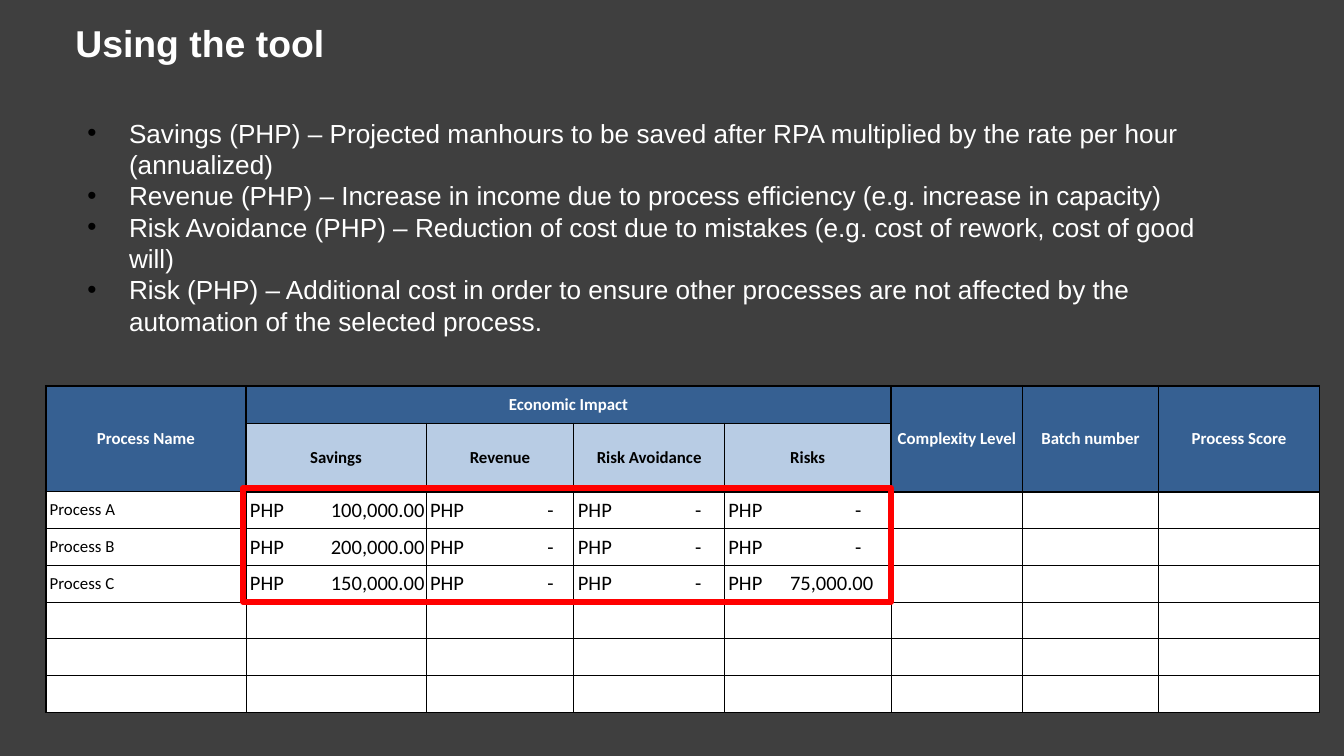
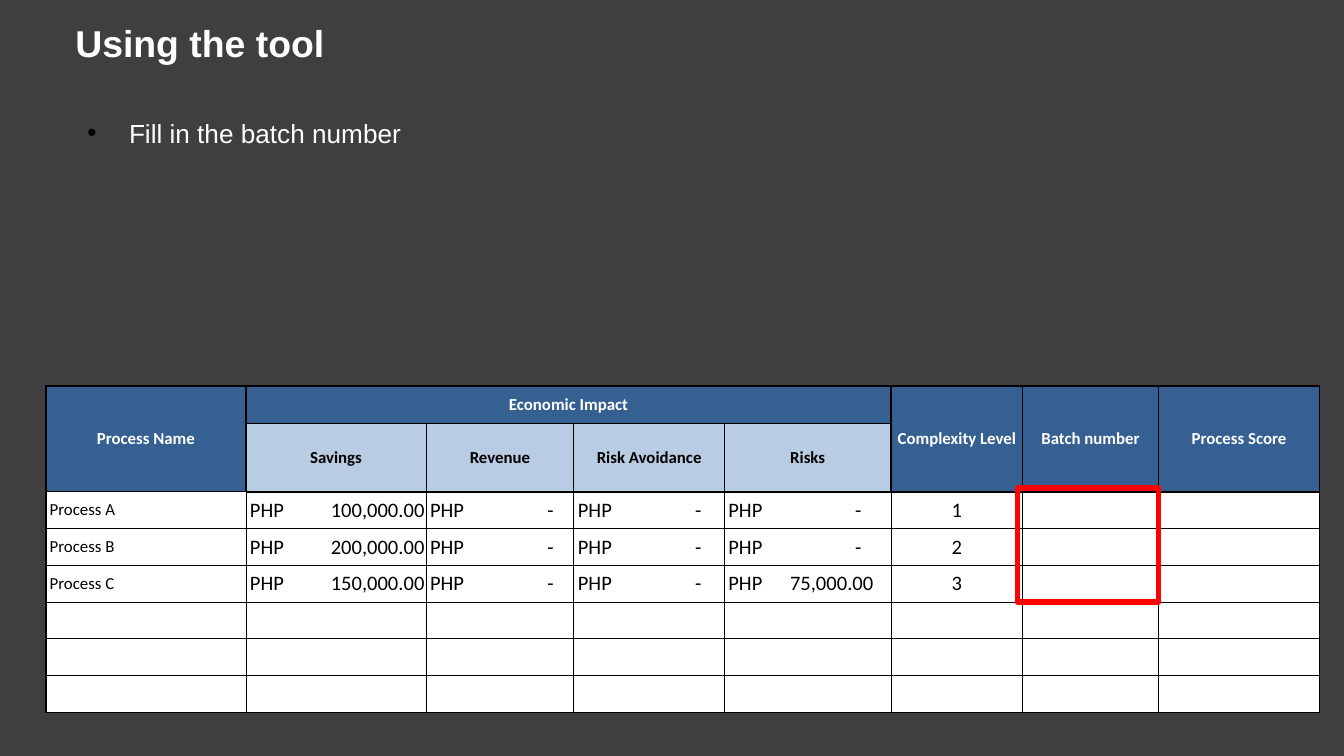
from dataclasses import dataclass

from lxml.etree import SubElement
from pptx import Presentation
from pptx.dml.color import RGBColor
from pptx.enum.shapes import MSO_SHAPE
from pptx.enum.text import MSO_ANCHOR, MSO_AUTO_SIZE, PP_ALIGN
from pptx.oxml.ns import qn
from pptx.util import Inches, Pt

COLORS = {
    "background": "3F3F3F",
    "white": "FFFFFF",
    "black": "000000",
    "header": "366092",
    "subheader": "B8CCE4",
    "highlight": "FF0000",
}
HEADING_FONT, TABLE_FONT = "Arial", "Calibri"

COLUMN_WIDTHS = (1.49, 1.34, 1.1, 1.12, 1.24, 0.98, 1.01, 1.2)
HEADER_HEIGHTS = (0.28, 0.51)
BODY_ROWS, BODY_HEIGHT = 6, 1.64
HEADER_EDGES, BODY_EDGES = {0, 1, 5, 6, 7, 8}, {0, 8}

GROUP_HEADERS = {
    0: "Process Name",
    1: "Economic Impact",
    5: "Complexity Level",
    6: "Batch number",
    7: "Process Score",
}
IMPACT_HEADERS = ("Savings", "Revenue", "Risk Avoidance", "Risks")
AMOUNT_TABS = (1.3, 0.92, 0.92, 0.99)
LONG_RISK_TAB = 1.08
PROCESSES = (
    ("Process A", ("100,000.00", "-", "-", "-")),
    ("Process B", ("200,000.00", "-", "-", "-")),
    ("Process C", ("150,000.00", "-", "-", "75,000.00")),
)


@dataclass(frozen=True)
class ToolStep:
    """One step of using the tool, with the columns it draws attention to."""

    instructions: tuple[str, ...]
    body_height: float
    highlight_left: float
    highlight_width: float
    complexity: tuple[str, ...] = ()


@dataclass(frozen=True)
class CellStyle:
    """Look of the text in a table cell."""

    size: int
    color: str = "black"
    bold: bool = False
    centered: bool = False
    inset: float = 0.01


HEADER_STYLE = CellStyle(9, "white", True, True, 0)
SUBHEADER_STYLE = CellStyle(9, "black", True, True, 0)
NAME_STYLE = CellStyle(9, inset=0.03)
AMOUNT_STYLE = CellStyle(11, inset=0.03)
LEVEL_STYLE = CellStyle(11, centered=True, inset=0)

STEPS = (
    ToolStep(
        (
            "Savings (PHP) – Projected manhours to be saved after RPA multiplied "
            "by the rate per hour (annualized)",
            "Revenue (PHP) – Increase in income due to process efficiency "
            "(e.g. increase in capacity)",
            "Risk Avoidance (PHP) – Reduction of cost due to mistakes "
            "(e.g. cost of rework, cost of good will)",
            "Risk (PHP) – Additional cost in order to ensure other processes are "
            "not affected by the automation of the selected process.",
        ),
        1.75, 1.81, 4.82,
    ),
    ToolStep(("Fill in the batch number",), 0.34, 7.57, 1.05, ("1", "2", "3")),
)


def rgb(name: str) -> RGBColor:
    """Look up a colour of the palette."""
    return RGBColor.from_string(COLORS[name])


def add_run(paragraph, text: str, font: str, size: int, color: str, bold: bool = False) -> None:
    """Add a formatted run to a paragraph."""
    run = paragraph.add_run()
    run.text = text
    run.font.name = font
    run.font.size = Pt(size)
    run.font.bold = bold
    run.font.color.rgb = rgb(color)


def place(shape, left: float, top: float, width: float, height: float) -> None:
    """Move and size a shape."""
    shape.left, shape.top = Inches(left), Inches(top)
    shape.width, shape.height = Inches(width), Inches(height)


def add_title(slide) -> None:
    """Fill the title placeholder."""
    title = slide.shapes.title
    place(title, 0.34, 0.05, 9.32, 0.58)
    frame = title.text_frame
    frame.auto_size = MSO_AUTO_SIZE.NONE
    frame.vertical_anchor = MSO_ANCHOR.TOP
    frame.margin_left = frame.margin_right = Inches(0.1)
    frame.margin_top = frame.margin_bottom = Inches(0.1)
    paragraph = frame.paragraphs[0]
    paragraph.alignment = PP_ALIGN.LEFT
    paragraph._p.get_or_add_pPr().set("marL", str(Inches(0.12)))
    add_run(paragraph, "Using the tool", HEADING_FONT, 20, "white", True)


def format_bullet(paragraph) -> None:
    """Give a paragraph a hanging black bullet."""
    properties = paragraph._p.get_or_add_pPr()
    properties.set("marL", str(Inches(0.31)))
    properties.set("indent", str(-Inches(0.31)))
    color = SubElement(properties, qn("a:buClr"))
    SubElement(color, qn("a:srgbClr"), val=COLORS["black"])
    SubElement(properties, qn("a:buFont"), typeface=HEADING_FONT)
    SubElement(properties, qn("a:buChar"), char="•")
    paragraph.space_before = Pt(0)


def add_instructions(slide, step: ToolStep) -> None:
    """Fill the body placeholder with the bulleted instructions."""
    body = slide.placeholders[1]
    place(body, 0.55, 0.82, 8.79, step.body_height)
    frame = body.text_frame
    frame.auto_size = MSO_AUTO_SIZE.SHAPE_TO_FIT_TEXT
    for index, instruction in enumerate(step.instructions):
        paragraph = frame.add_paragraph() if index else frame.paragraphs[0]
        format_bullet(paragraph)
        add_run(paragraph, instruction, HEADING_FONT, 14, "white")


def border_cell(cell, row: int, column: int) -> None:
    """Draw heavy borders around the headers and the sides, thin ones elsewhere."""
    heavy_edges = HEADER_EDGES if row < 2 else BODY_EDGES
    heavy = {
        "L": column in heavy_edges,
        "R": column + 1 in heavy_edges,
        "T": row == 0 or (row <= 2 and column > 0),
        "B": row < 2 and column > 0,
    }
    properties = cell._tc.get_or_add_tcPr()
    for side, is_heavy in heavy.items():
        width = Pt(1) if is_heavy else Pt(0.5)
        line = SubElement(properties, qn(f"a:ln{side}"), w=str(width))
        fill = SubElement(line, qn("a:solidFill"))
        SubElement(fill, qn("a:srgbClr"), val=COLORS["black"])


def cell_fill(row: int, column: int) -> str:
    """Name the fill colour of a cell."""
    if row == 1 and 1 <= column <= 4:
        return "subheader"
    return "header" if row < 2 else "white"


def write_cell(cell, text: str, style: CellStyle, tab: float = 0) -> None:
    """Write text into a cell, with a right tab stop if one is given."""
    cell.margin_left = Inches(style.inset)
    paragraph = cell.text_frame.paragraphs[0]
    if style.centered:
        paragraph.alignment = PP_ALIGN.CENTER
    if tab:
        tabs = SubElement(paragraph._p.get_or_add_pPr(), qn("a:tabLst"))
        SubElement(tabs, qn("a:tab"), pos=str(Inches(tab)), algn="r")
    add_run(paragraph, text, TABLE_FONT, style.size, style.color, style.bold)


def prepare_cells(table) -> None:
    """Set borders, fills and margins of every cell."""
    for row, table_row in enumerate(table.rows):
        for column, cell in enumerate(table_row.cells):
            border_cell(cell, row, column)
            cell.fill.solid()
            cell.fill.fore_color.rgb = rgb(cell_fill(row, column))
            cell.vertical_anchor = MSO_ANCHOR.MIDDLE
            cell.margin_left = cell.margin_right = 0
            cell.margin_top = cell.margin_bottom = 0
            SubElement(cell.text_frame.paragraphs[0]._p, qn("a:endParaRPr"), sz="900")


def write_headers(table) -> None:
    """Merge and write the two header rows."""
    for column, header in GROUP_HEADERS.items():
        corner = table.cell(0, 4) if column == 1 else table.cell(1, column)
        table.cell(0, column).merge(corner)
        write_cell(table.cell(0, column), header, HEADER_STYLE)
    for column, header in enumerate(IMPACT_HEADERS, 1):
        write_cell(table.cell(1, column), header, SUBHEADER_STYLE)


def add_process_table(slide, step: ToolStep) -> None:
    """Add the table that scores the processes."""
    heights = HEADER_HEIGHTS + (BODY_HEIGHT / BODY_ROWS,) * BODY_ROWS
    table = slide.shapes.add_table(
        len(heights), len(COLUMN_WIDTHS), Inches(0.34), Inches(2.87),
        Inches(sum(COLUMN_WIDTHS)), Inches(sum(heights)),
    ).table
    table.first_row = table.horz_banding = False
    for column, width in zip(table.columns, COLUMN_WIDTHS):
        column.width = Inches(width)
    for row, height in zip(table.rows, heights):
        row.height = Inches(height)
    prepare_cells(table)
    write_headers(table)
    for row, (process, amounts) in enumerate(PROCESSES, 2):
        write_cell(table.cell(row, 0), process, NAME_STYLE)
        for column, (amount, tab) in enumerate(zip(amounts, AMOUNT_TABS), 1):
            if column == 4 and amount != "-":
                tab = LONG_RISK_TAB
            write_cell(table.cell(row, column), f"PHP\t{amount}", AMOUNT_STYLE, tab)
    for row, level in enumerate(step.complexity, 2):
        write_cell(table.cell(row, 5), level, LEVEL_STYLE)


def add_highlight(slide, step: ToolStep) -> None:
    """Frame the cells that the step is about."""
    highlight = slide.shapes.add_shape(
        MSO_SHAPE.RECTANGLE, Inches(step.highlight_left), Inches(3.63),
        Inches(step.highlight_width), Inches(0.85),
    )
    highlight.shadow.inherit = False
    highlight.fill.background()
    highlight.line.color.rgb = rgb("highlight")
    highlight.line.width = Pt(3)


def main() -> None:
    """Build the presentation."""
    presentation = Presentation()
    presentation.slide_width = Inches(10)
    presentation.slide_height = Inches(10 * 9 / 16)
    background = presentation.slide_master.background.fill
    background.solid()
    background.fore_color.rgb = rgb("background")
    for step in STEPS:
        slide = presentation.slides.add_slide(presentation.slide_layouts[1])
        add_title(slide)
        add_instructions(slide, step)
        add_process_table(slide, step)
        add_highlight(slide, step)
    presentation.save("out.pptx")


if __name__ == "__main__":
    main()
